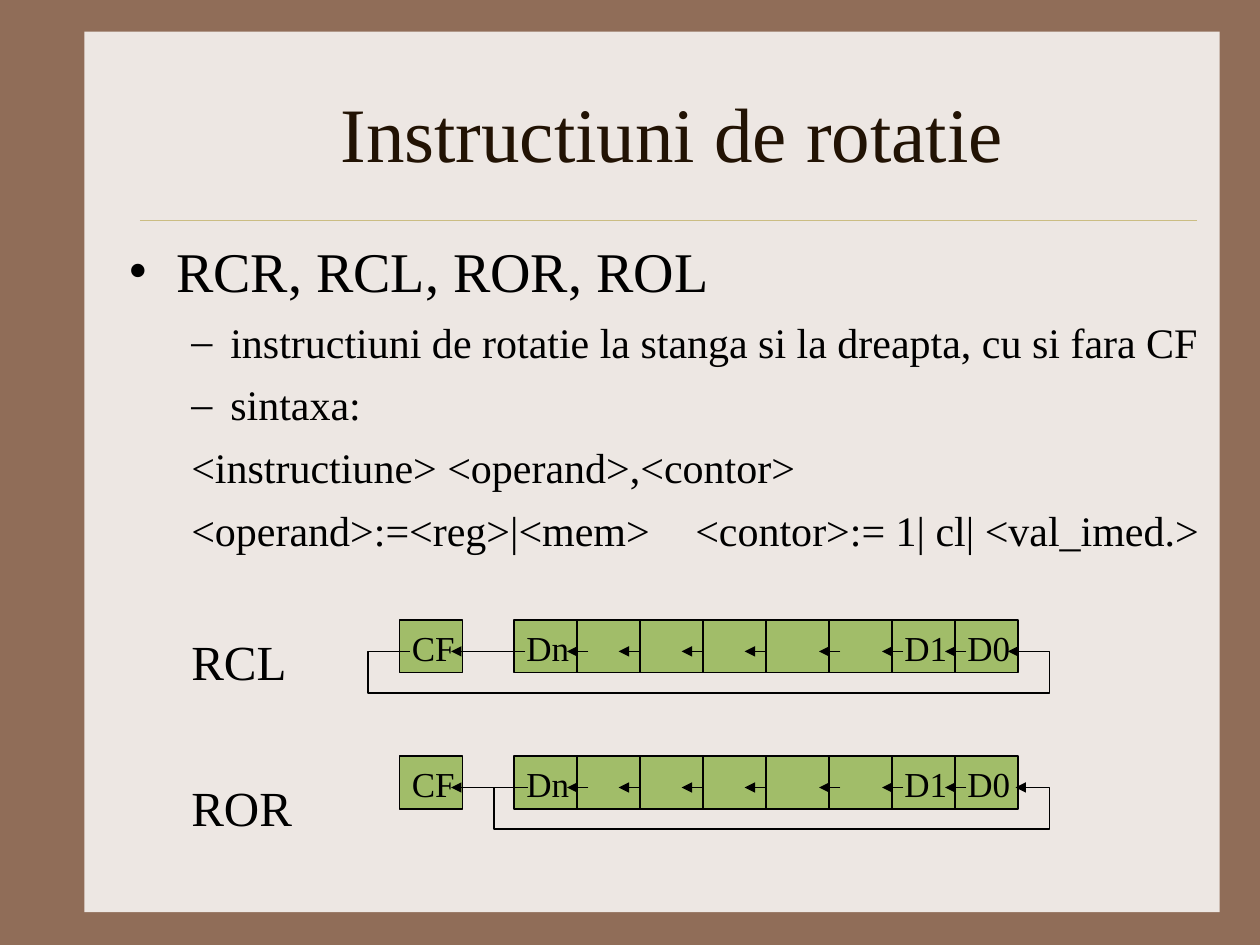
from lxml import etree
from pptx import Presentation
from pptx.dml.color import RGBColor
from pptx.enum.shapes import MSO_CONNECTOR, MSO_SHAPE
from pptx.enum.text import MSO_ANCHOR, PP_ALIGN
from pptx.oxml.ns import qn
from pptx.util import Inches, Pt

LINE, RECT = MSO_CONNECTOR.STRAIGHT, MSO_SHAPE.RECTANGLE
TOP, MIDDLE = MSO_ANCHOR.TOP, MSO_ANCHOR.MIDDLE
LEFT, CENTER = PP_ALIGN.LEFT, PP_ALIGN.CENTER

FONT = "Times New Roman"
HEX = {"back": "906D58", "panel": "EDE7E3", "rule": "CBBD83",
       "title": "221304", "ink": "000000", "cell": "A1BD69"}

TITLE = "Instructiuni de rotatie"
# text, size, space before, bullet, left margin, first-line indent
BODY = [
    ("RCR, RCL, ROR, ROL", 32, 0, "•", 0.38, -0.38),
    ("instructiuni de rotatie la stanga si la dreapta, cu si fara CF",
     24, 7, "–", 0.81, -0.31),
    ("sintaxa:", 24, 7, "–", 0.81, -0.31),
    ("<instructiune> <operand>,<contor>", 24, 7, None, 0.5, 0),
    ("<operand>:=<reg>|<mem>\t<contor>:= 1| cl| <val_imed.>",
     24, 7, None, 0.5, 0),
    ("RCL", 28, 44, None, 0.5, 0),
    ("ROR", 28, 49.5, None, 0.5, 0),
]
TAB = 4.56

BITS = ["Dn", "", "", "", "", "", "D1", "D0"]
CELL_W, CELL_H = 0.5, 0.42
FLAG_X, BITS_X = 3.17, 4.08
MID, DROP, FAR = 0.25, 0.33, 8.33
# arrow tails between neighbouring cells, then from Dn to CF
ARROWS = [(x, x - 0.17) for x in
          (7.67, 7.17, 6.67, 6.08, 5.58, 5.08, 4.67)] + [(4.17, 3.58)]
# top of the row, then the loop: start, left side, arrow tip
ROWS = [(4.92, 3.25, 2.92, 8), (6, 4.19, 3.92, 8.06)]


def color(name):
    return RGBColor.from_string(HEX[name])


def stroke(shape, name, width, arrow=False):
    shape.line.color.rgb = color(name)
    shape.line.width = Pt(width)
    if arrow:
        ln = shape.element.spPr.find(qn("a:ln"))
        etree.SubElement(ln, qn("a:tailEnd"), type="triangle")


def rect(x, y, w, h, fill):
    box = slide.shapes.add_shape(RECT, *map(Inches, (x, y, w, h)))
    box.shadow.inherit = False
    box.fill.solid()
    box.fill.fore_color.rgb = color(fill)
    box.line.fill.background()
    return box


def line(x1, x2, y, name, width, arrow=False):
    rule = slide.shapes.add_connector(LINE, *map(Inches, (x1, y, x2, y)))
    stroke(rule, name, width, arrow)
    etree.SubElement(rule.element.spPr, qn("a:effectLst"))


def write(para, text, size, name="ink", align=LEFT):
    para.alignment = align
    run = para.add_run()
    run.text = text
    run.font.name = FONT
    run.font.size = Pt(size)
    run.font.color.rgb = color(name)


def frame(x, y, w, h, anchor):
    text = slide.shapes.add_textbox(*map(Inches, (x, y, w, h))).text_frame
    text.word_wrap = True
    text.vertical_anchor = anchor
    return text


def layout(para, mark, left, first):
    """Set the indents, bullet and tab stop of a body paragraph."""
    props = para._p.get_or_add_pPr()
    props.set("marL", str(Inches(left)))
    props.set("indent", str(Inches(first)))
    if mark:
        etree.SubElement(props, qn("a:buFont"), typeface=FONT)
        etree.SubElement(props, qn("a:buChar"), char=mark)
    else:
        etree.SubElement(props, qn("a:buNone"))
        tabs = etree.SubElement(props, qn("a:tabLst"))
        etree.SubElement(tabs, qn("a:tab"), pos=str(Inches(TAB)), algn="l")


def cell(x, y, label):
    box = rect(x, y, CELL_W, CELL_H, "cell")
    stroke(box, "ink", 0.75)
    if label:
        text = box.text_frame
        text.margin_right = 0
        text.vertical_anchor = TOP
        write(text.paragraphs[0], label, 20)


def loop(points):
    pts = [(Inches(x), Inches(y)) for x, y in points]
    form = slide.shapes.build_freeform(*pts[0])
    form.add_line_segments(pts[1:], close=False)
    shape = form.convert_to_shape()
    shape.shadow.inherit = False
    shape.fill.background()
    stroke(shape, "ink", 0.75, True)


deck = Presentation()
deck.slide_width, deck.slide_height = Inches(10), Inches(7.5)
slide = deck.slides.add_slide(deck.slide_layouts[6])
slide.background.fill.solid()
slide.background.fill.fore_color.rgb = color("back")

rect(0.67, 0.25, 9.01, 6.99, "panel")
line(1.11, 9.5, 1.75, "rule", 0.25)
head = frame(1.17, 0.42, 8.33, 1.25, MIDDLE)
write(head.paragraphs[0], TITLE, 44, "title", CENTER)

body = frame(0.92, 1.83, 8.83, 5.08, TOP)
for i, (text, size, gap, mark, left, first) in enumerate(BODY):
    para = body.add_paragraph() if i else body.paragraphs[0]
    if gap:
        para.space_before = Pt(gap)
    layout(para, mark, left, first)
    write(para, text, size)

for top, start, side, tip in ROWS:
    mid = top + MID
    cell(FLAG_X, top, "CF")
    for i, bit in enumerate(BITS):
        cell(BITS_X + i * CELL_W, top, bit)
    for tail, end in ARROWS:
        line(tail, end, mid, "ink", 0.75, True)
    low = mid + DROP
    loop([(start, mid), (side, mid), (side, low),
          (FAR, low), (FAR, mid), (tip, mid)])

deck.save("out.pptx")
